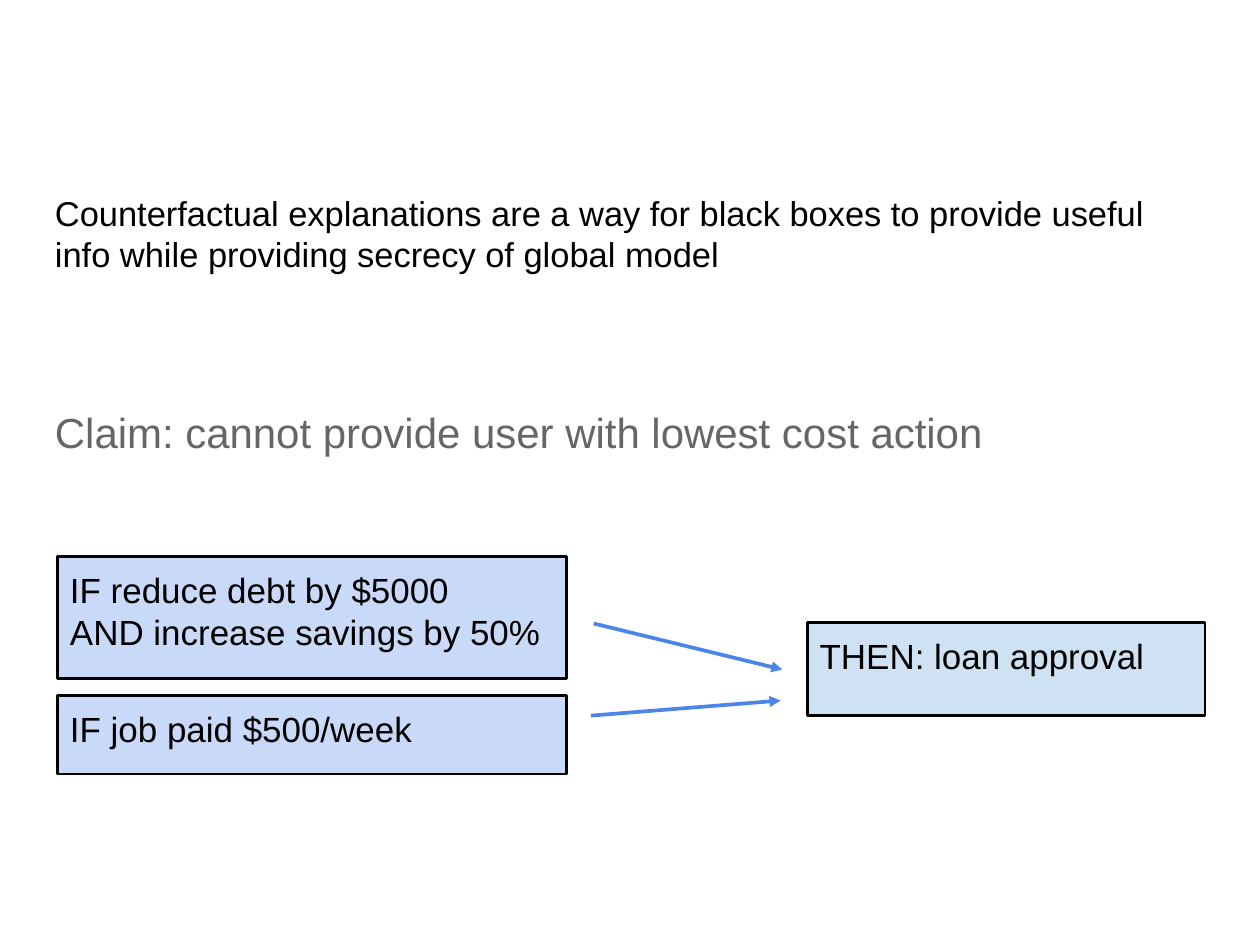
"""Builds a slide on counterfactual explanations for loan approval."""
from lxml.etree import SubElement
from pptx import Presentation
from pptx.dml.color import RGBColor
from pptx.enum.shapes import MSO_CONNECTOR, MSO_SHAPE
from pptx.enum.text import MSO_ANCHOR, PP_ALIGN
from pptx.oxml.ns import qn
from pptx.util import Pt

EMU_PER_PX = 9144
COLORS = {
    "text": "000000",
    "claim": "666666",
    "condition": "C9DAF8",
    "outcome": "CFE2F3",
    "border": "000000",
    "arrow": "4A86E8",
}


def px(length):
    return length * EMU_PER_PX


def color(name):
    return RGBColor.from_string(COLORS[name])


def write_text(shape, text, size=28.4, color_name="text", line_spacing=None, inset=14):
    frame = shape.text_frame
    frame.word_wrap = True
    frame.vertical_anchor = MSO_ANCHOR.TOP
    frame.margin_left = frame.margin_right = px(inset)
    frame.margin_top = frame.margin_bottom = px(inset)
    frame.text = text
    for paragraph in frame.paragraphs:
        paragraph.alignment = PP_ALIGN.LEFT
        paragraph.line_spacing = line_spacing
        paragraph.font.name = "Arial"
        paragraph.font.size = Pt(size)
        paragraph.font.color.rgb = color(color_name)


class SlideBuilder:
    """Draws text, boxes and arrows in one style on the current slide."""

    def __init__(self, slide, border_width=2.25, arrow_width=3):
        self.shapes = slide.shapes
        self.border_width = Pt(border_width)
        self.arrow_width = Pt(arrow_width)

    def text(self, text, left, top, width, height, **text_format):
        shape = self.shapes.add_textbox(px(left), px(top), px(width), px(height))
        write_text(shape, text, **text_format)

    def box(self, text, left, top, width, height, fill):
        shape = self.shapes.add_shape(
            MSO_SHAPE.RECTANGLE, px(left), px(top), px(width), px(height))
        shape.shadow.inherit = False
        shape.fill.solid()
        shape.fill.fore_color.rgb = color(fill)
        shape.line.color.rgb = color("border")
        shape.line.width = self.border_width
        write_text(shape, text)

    def arrow(self, start_x, start_y, end_x, end_y):
        connector = self.shapes.add_connector(
            MSO_CONNECTOR.STRAIGHT, px(start_x), px(start_y), px(end_x), px(end_y))
        connector.line.color.rgb = color("arrow")
        connector.line.width = self.arrow_width
        SubElement(connector.line._get_or_add_ln(), qn("a:tailEnd"), type="triangle")
        SubElement(connector._element.spPr, qn("a:effectLst"))


def main():
    presentation = Presentation()
    presentation.slide_width = px(1422)
    presentation.slide_height = px(1067)
    slide = presentation.slides.add_slide(presentation.slide_layouts[6])
    builder = SlideBuilder(slide)

    builder.text(
        "Counterfactual explanations are a way for black boxes to provide useful "
        "info while providing secrecy of global model",
        48, 203, 1325, 89, size=28)
    builder.text("Claim: cannot provide user with lowest cost action",
                 48, 436, 1276, 138, size=34.1, color_name="claim", line_spacing=1.15)

    conditions = [
        ("IF reduce debt by $5000\nAND increase savings by 50%", 628, 138),
        ("IF job paid $500/week", 785, 89),
    ]
    for text, top, height in conditions:
        builder.box(text, 65, top, 574, height, "condition")
    builder.box("THEN: loan approval", 911, 703, 449, 105, "outcome")

    builder.arrow(670, 704, 883, 756)
    builder.arrow(667, 808, 881, 791)

    presentation.save("out.pptx")


if __name__ == "__main__":
    main()
